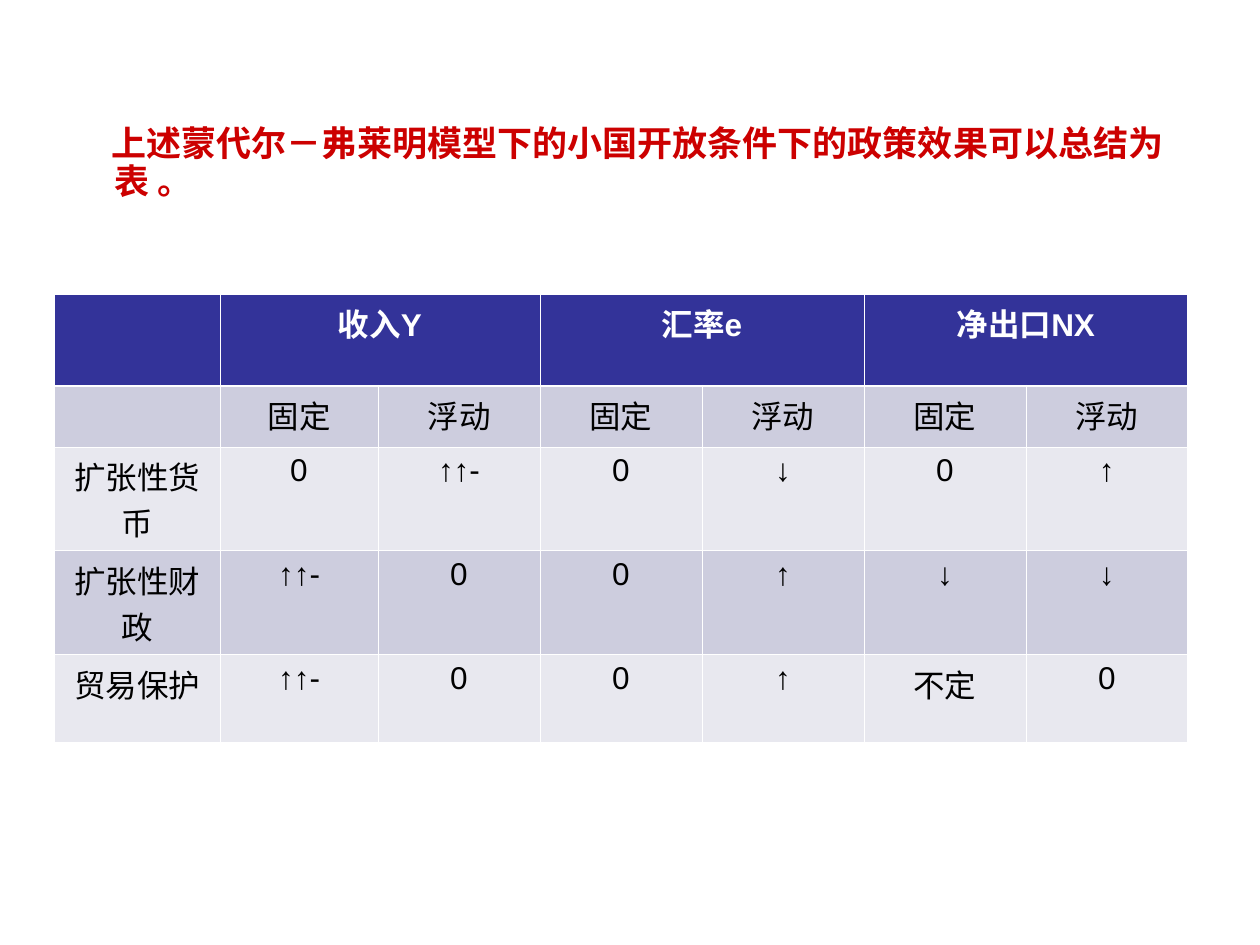
from pptx import Presentation
from pptx.dml.color import RGBColor
from pptx.enum.text import PP_ALIGN
from pptx.oxml.ns import qn
from pptx.util import Pt
from lxml import etree

CENTER = PP_ALIGN.CENTER
PX = 914400 // 126

THEME = {
    "font": "Arial",
    "title": "CC0000", "title_size": 20,
    "header": "333399", "header_text": "FFFFFF",
    "bands": ("E8E8EF", "CDCDDE"), "text": "000000", "cell_size": 18,
    "border": "FFFFFF", "thin": 0.45, "thick": 1.47,
}

COL_WIDTHS = [166, 158] + [162] * 5
ROW_HEIGHTS = [92, 61, 88, 88, 88]
ROWS = [
    ["", "收入Y", "", "汇率e", "", "净出口NX", ""],
    [""] + ["固定", "浮动"] * 3,
    ["扩张性货币", "0", "↑↑-", "0", "↓", "0", "↑"],
    ["扩张性财政", "↑↑-", "0", "0", "↑", "↓", "↓"],
    ["贸易保护", "↑↑-", "0", "0", "↑", "不定", "0"],
]


def add_run(p, text, size, color, bold):
    r = p.add_run()
    r.text = text
    r.font.name = THEME["font"]
    r.font.size = Pt(size)
    r.font.bold = bold
    r.font.color.rgb = RGBColor.from_string(color)


def add_border(cell, side, width):
    """Draw one side (L, R, T or B); call before the cell is filled."""
    tc_pr = cell._tc.get_or_add_tcPr()
    ln = etree.SubElement(tc_pr, qn(f"a:ln{side}"), w=str(Pt(width)))
    fill = etree.SubElement(ln, qn("a:solidFill"))
    etree.SubElement(fill, qn("a:srgbClr"), val=THEME["border"])


prs = Presentation()
prs.slide_width, prs.slide_height = 1260 * PX, 945 * PX
s = prs.slides.add_slide(prs.slide_layouts[1])
s.shapes.title.element.getparent().remove(s.shapes.title.element)

# Statement above the table
body = s.placeholders[1]
body.left, body.top, body.width, body.height = 54 * PX, 108 * PX, 1134 * PX, 728 * PX
tf = body.text_frame
tf.margin_top = 18 * PX
p = tf.paragraphs[0]
p.space_before = Pt(0)
p.line_spacing = 0.9
p_pr = p._p.get_or_add_pPr()
p_pr.set("marL", str(48 * PX))
p_pr.set("indent", str(-3 * PX))
etree.SubElement(p_pr, qn("a:buNone"))
add_run(p, "上述蒙代尔－弗莱明模型下的小国开放条件下的政策效果可以总结为表 。",
        THEME["title_size"], THEME["title"], True)

# Policy effects table
table = s.shapes.add_table(len(ROWS), len(COL_WIDTHS), 54 * PX, 294 * PX,
                           sum(COL_WIDTHS) * PX, sum(ROW_HEIGHTS) * PX).table
for column, width in zip(table.columns, COL_WIDTHS):
    column.width = width * PX
for row, height in zip(table.rows, ROW_HEIGHTS):
    row.height = height * PX
for c in (1, 3, 5):
    table.cell(0, c).merge(table.cell(0, c + 1))

for i, texts in enumerate(ROWS):
    header = i == 0
    color = THEME["header_text"] if header else THEME["text"]
    fill = THEME["header"] if header else THEME["bands"][i % 2]
    for j, text in enumerate(texts):
        cell = table.cell(i, j)
        for side in "LRTB":
            under_header = (i, side) in ((0, "B"), (1, "T"))
            add_border(cell, side, THEME["thick" if under_header else "thin"])
        cell.fill.solid()
        cell.fill.fore_color.rgb = RGBColor.from_string(fill)
        if text:
            p = cell.text_frame.paragraphs[0]
            p.alignment = CENTER
            add_run(p, text, THEME["cell_size"], color, header)

prs.save("out.pptx")
